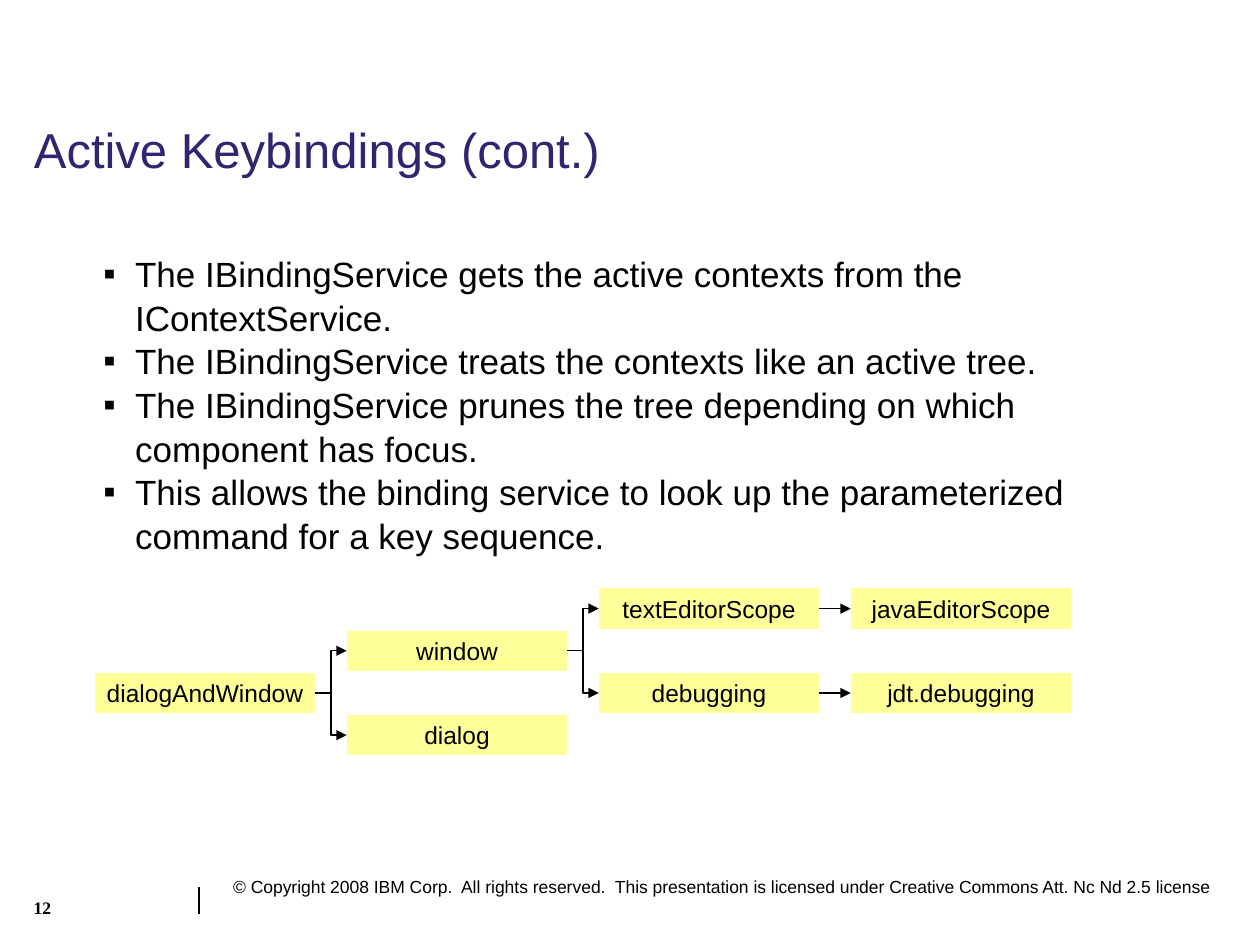
import pptx
import pptx.util
import pptx.dml.color
import pptx.enum.shapes
import pptx.enum.text
from lxml import etree
from pptx.oxml.ns import qn
from pptx.util import Cm, Pt

COLORS = {"text": "000000", "title": "2F2672", "node": "FFFF99", "border": "FFFFFF"}

BULLETS = [
    "The IBindingService gets the active contexts from the IContextService.",
    "The IBindingService treats the contexts like an active tree.",
    "The IBindingService prunes the tree depending on which component has focus.",
    "This allows the binding service to look up the parameterized command for a key sequence.",
]
# Context name: (column, row) in the tree grid
CONTEXTS = {
    "dialogAndWindow": (0, 2),
    "window": (1, 1),
    "textEditorScope": (2, 0),
    "javaEditorScope": (3, 0),
    "debugging": (2, 2),
    "jdt.debugging": (3, 2),
    "dialog": (1, 3),
}
BRANCHES = [
    ("dialogAndWindow", "window"),
    ("window", "textEditorScope"),
    ("dialogAndWindow", "dialog"),
    ("window", "debugging"),
    ("textEditorScope", "javaEditorScope"),
    ("debugging", "jdt.debugging"),
]


def rgb(name):
    return pptx.dml.color.RGBColor.from_string(COLORS[name])


def style(paragraph, size, color="text", font="Arial", bold=False):
    for run in paragraph.runs:
        run.font.size = Pt(size)
        run.font.name = font
        run.font.bold = bold
        run.font.color.rgb = rgb(color)


def place(shape, left, top, width, height):
    shape.left, shape.top = Cm(left), Cm(top)
    shape.width, shape.height = Cm(width), Cm(height)
    frame = shape.text_frame
    frame.word_wrap = True
    frame.auto_size = pptx.enum.text.MSO_AUTO_SIZE.NONE
    frame.vertical_anchor = pptx.enum.text.MSO_ANCHOR.TOP
    return frame


def add_line(slide, kind, start=(0, 0), end=(0, 0)):
    line = slide.shapes.add_connector(
        kind, Cm(start[0]), Cm(start[1]), Cm(end[0]), Cm(end[1]))
    line.line.color.rgb = rgb("text")
    line.line.width = Pt(0.75)
    etree.SubElement(line._element.spPr, qn("a:effectLst"))
    return line


def add_title(slide, left, top, width, height):
    frame = place(slide.shapes.title, left, top, width, height)
    frame.text = "Active Keybindings (cont.)"
    heading = frame.paragraphs[0]
    heading.alignment = pptx.enum.text.PP_ALIGN.LEFT
    heading.line_spacing = 0.9
    style(heading, 28, "title")


def add_bullets(slide, left, top, width, height):
    frame = place(slide.placeholders[1], left, top, width, height)
    frame.text = "\n".join(BULLETS)
    for point in frame.paragraphs:
        properties = point._p.get_or_add_pPr()
        properties.set("marL", str(Cm(0.64)))
        properties.set("indent", str(-Cm(0.64)))
        etree.SubElement(properties, qn("a:buFont"), typeface="Arial")
        etree.SubElement(properties, qn("a:buChar"), char="▪")
        point.space_before = Pt(0)
        point.line_spacing = 1.04
        style(point, 20)


def add_context_tree(slide, left, top, width, height):
    column_step, row_step = 5.08, 0.85
    node_width, node_height = width - 3 * column_step, height - 3 * row_step
    nodes = {}
    for name, (column, row) in CONTEXTS.items():
        node = slide.shapes.add_shape(
            pptx.enum.shapes.MSO_SHAPE.RECTANGLE,
            Cm(left + column * column_step), Cm(top + row * row_step),
            Cm(node_width), Cm(node_height))
        node.shadow.inherit = False
        node.fill.solid()
        node.fill.fore_color.rgb = rgb("node")
        node.line.color.rgb = rgb("border")
        node.line.width = Pt(0.75)
        frame = node.text_frame
        frame.word_wrap = False
        frame.vertical_anchor = pptx.enum.text.MSO_ANCHOR.MIDDLE
        frame.text = name
        frame.paragraphs[0].alignment = pptx.enum.text.PP_ALIGN.CENTER
        style(frame.paragraphs[0], 14)
        nodes[name] = node

    # Arrows from the right side of a parent to the left side of its child
    connector = pptx.enum.shapes.MSO_CONNECTOR
    for parent, child in BRANCHES:
        level = CONTEXTS[parent][1] == CONTEXTS[child][1]
        arrow = add_line(slide, connector.STRAIGHT if level else connector.ELBOW)
        arrow.begin_connect(nodes[parent], 3)
        arrow.end_connect(nodes[child], 1)
        etree.SubElement(arrow.line._get_or_add_ln(), qn("a:tailEnd"), type="triangle")


def add_footer(slide, left, top, width, height):
    # Divider
    add_line(slide, pptx.enum.shapes.MSO_CONNECTOR.STRAIGHT,
             (left + 3.58, top + 0.35), (left + 3.58, top + 0.89))

    # Copyright line
    box = slide.shapes.add_textbox(0, 0, 0, 0)
    frame = place(box, left + 4.02, top, width - 4.02, 0.69)
    frame.text = ("© Copyright 2008 IBM Corp.  All rights reserved.  This presentation "
                  "is licensed under Creative Commons Att. Nc Nd 2.5 license")
    style(frame.paragraphs[0], 10)

    # Page number
    box = slide.shapes.add_textbox(0, 0, 0, 0)
    frame = place(box, left, top + 0.43, 2.79, height - 0.43)
    frame.text = "12"
    style(frame.paragraphs[0], 10, font="Times New Roman", bold=True)


def main():
    deck = pptx.Presentation()
    deck.slide_width, deck.slide_height = Cm(25.4), Cm(19.05)
    slide = deck.slides.add_slide(deck.slide_layouts[1])
    add_title(slide, 0.43, 2.41, 22.91, 1.4)
    add_bullets(slide, 1.83, 4.93, 21.49, 10.85)
    add_context_tree(slide, 1.91, 11.85, 19.69, 3.39)
    add_footer(slide, 0.43, 17.53, 24.97, 1.32)
    deck.save("out.pptx")


if __name__ == "__main__":
    main()
